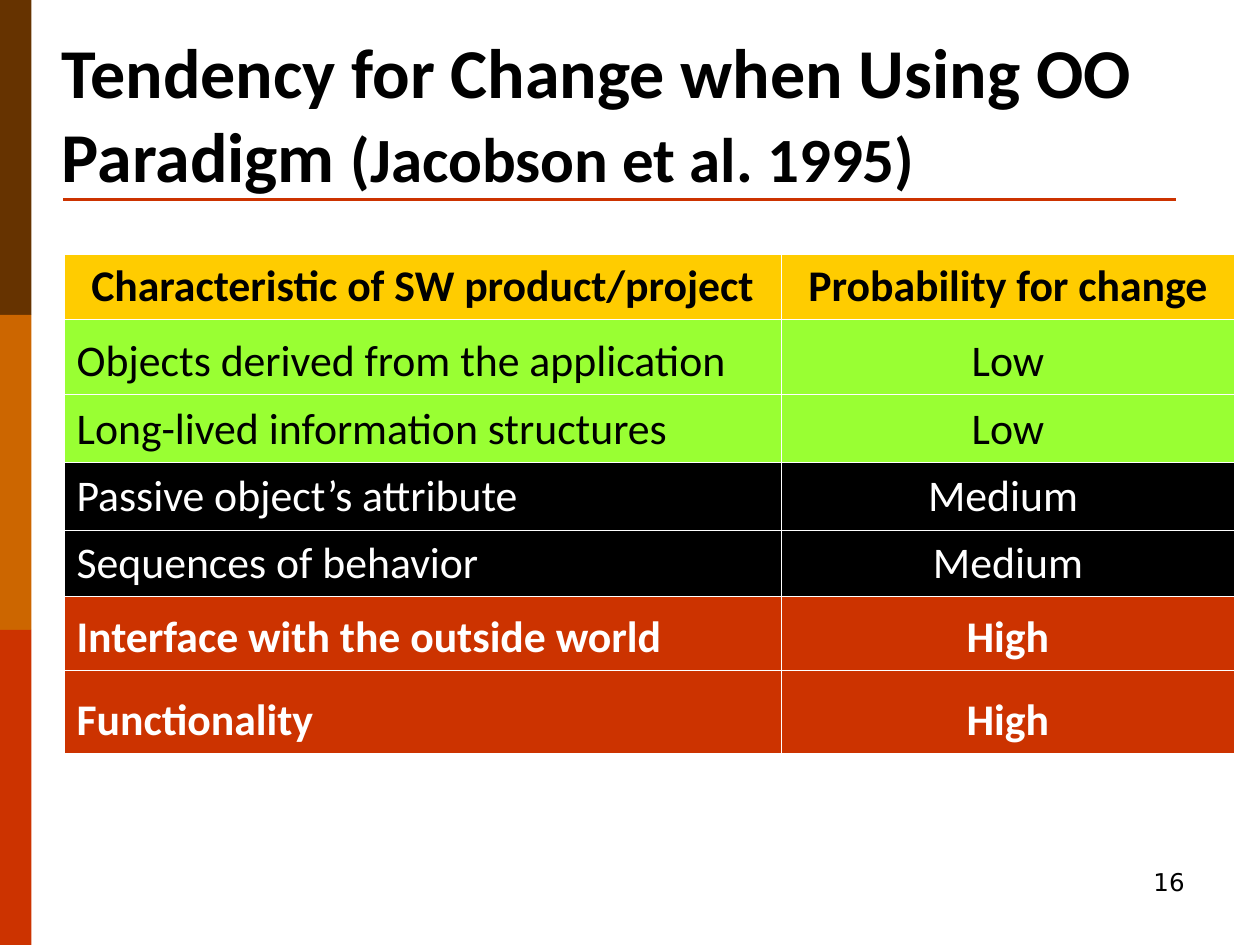
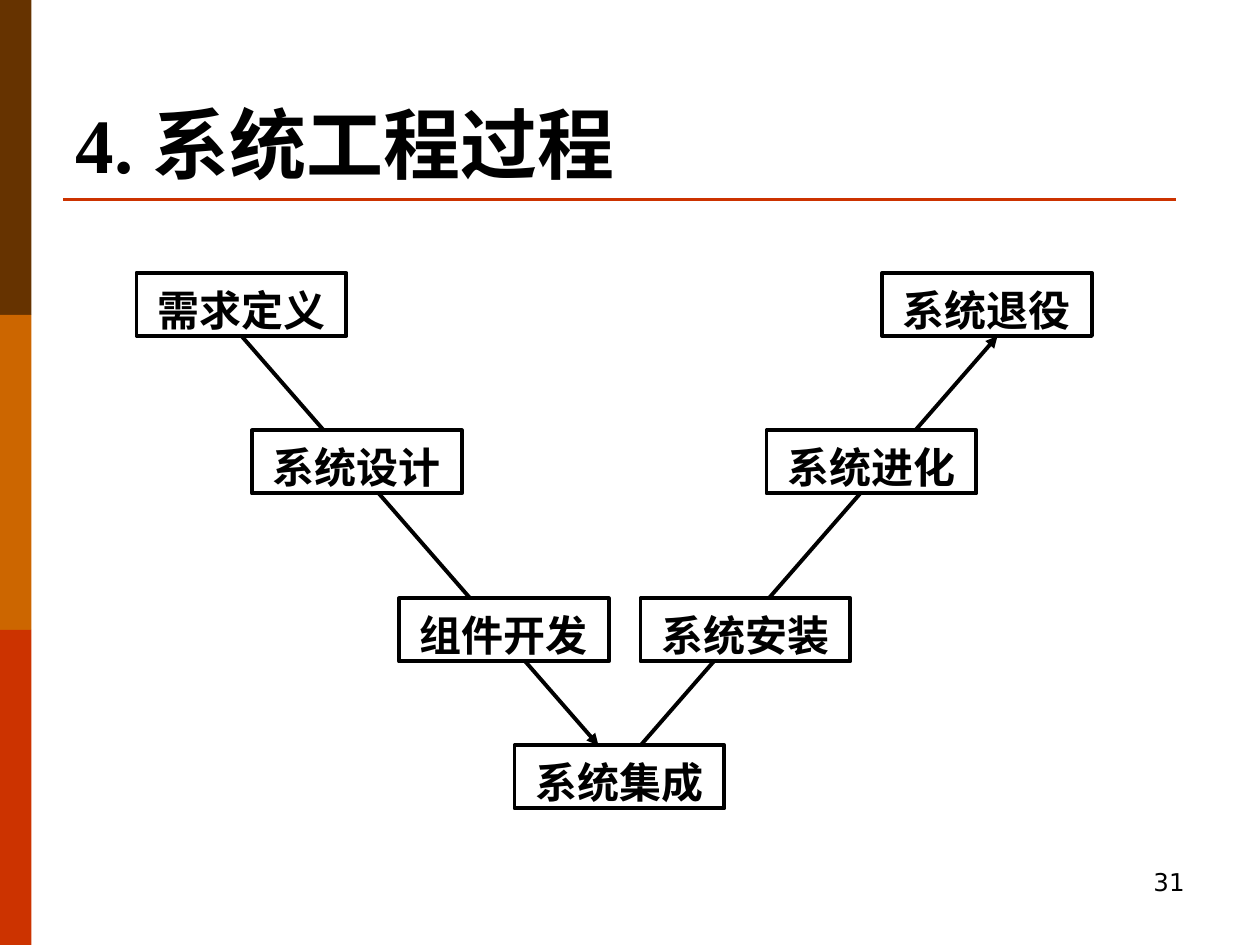
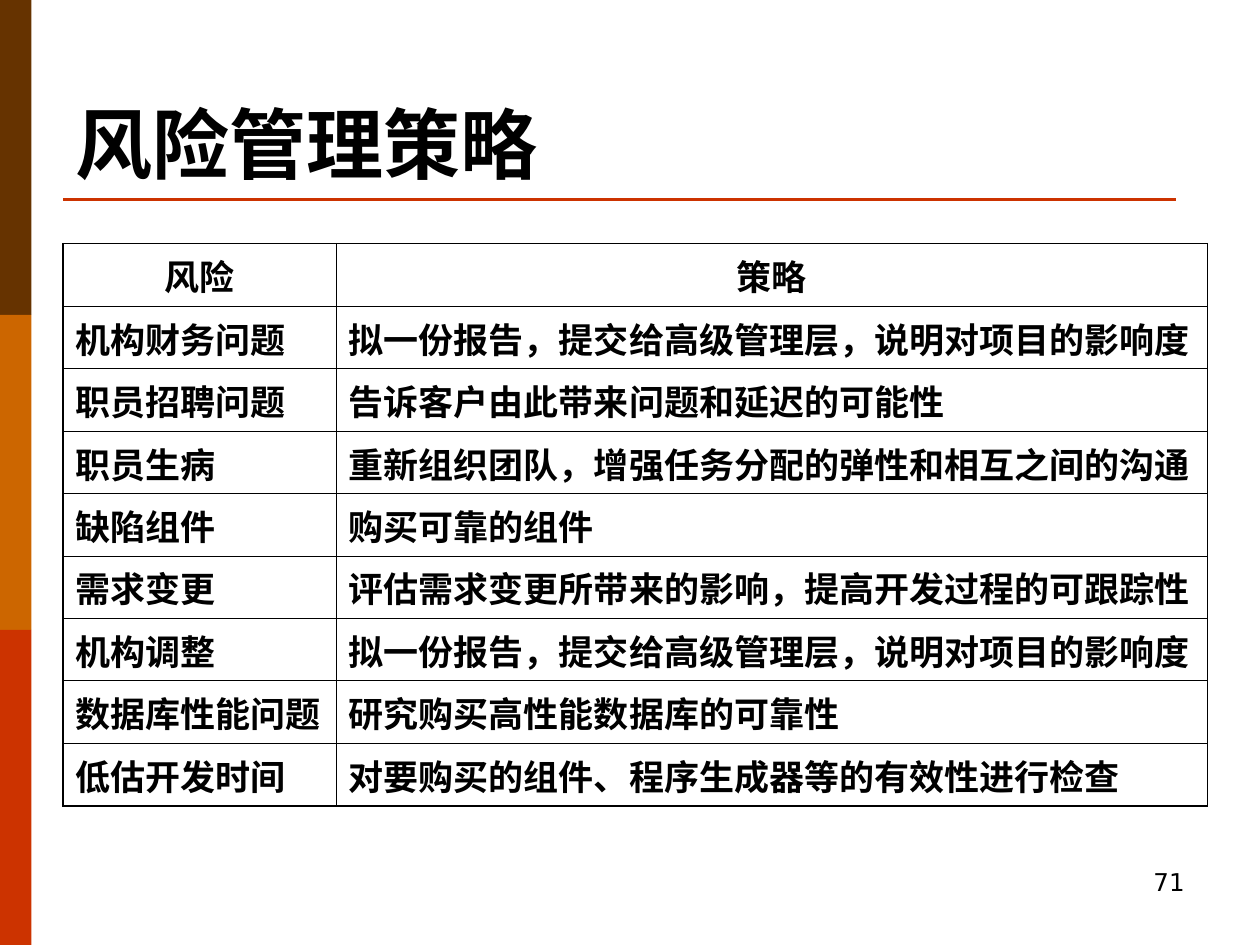
from lxml.etree import SubElement
from pptx import Presentation
from pptx.dml.color import RGBColor
from pptx.enum.shapes import MSO_CONNECTOR, MSO_SHAPE
from pptx.enum.text import MSO_ANCHOR as ANCHOR, MSO_AUTO_SIZE as FIT, PP_ALIGN as ALIGN
from pptx.oxml.ns import qn
from pptx.util import Inches, Pt

BLACK = RGBColor(0x00, 0x00, 0x00)
WHITE = RGBColor(0xFF, 0xFF, 0xFF)
BROWN = RGBColor(0x66, 0x33, 0x00)
ORANGE = RGBColor(0xCC, 0x66, 0x00)
RED = RGBColor(0xCC, 0x33, 0x00)
GOLD = RGBColor(0xFF, 0xCC, 0x00)
LIME = RGBColor(0x99, 0xFF, 0x33)

COLUMNS, ROWS = 120, 90
HAIRLINE, OUTLINE = 0.45, 1.08

PROBABILITIES = [
    ("Characteristic of SW product/project", "Probability for change", GOLD, BLACK, True, 6.24),
    ("Objects derived from the application", "Low", LIME, BLACK, False, 7.15),
    ("Long-lived information structures", "Low", LIME, BLACK, False, 6.5),
    ("Passive object’s attribute", "Medium ", BLACK, WHITE, False, 6.4),
    ("Sequences of behavior", "Medium", BLACK, WHITE, False, 6.3),
    ("Interface with the outside world", "High", RED, WHITE, True, 7.05),
    ("Functionality", "High", RED, WHITE, True, 7.9),
]

STAGES = [
    ("需求定义", 13, 26),
    ("系统设计", 24, 41),
    ("组件开发", 38, 57),
    ("系统集成", 49, 71),
    ("系统安装", 61, 57),
    ("系统进化", 73, 41),
    ("系统退役", 84, 26),
]

STRATEGIES = [
    ("风险", "策略"),
    ("机构财务问题", "拟一份报告，提交给高级管理层，说明对项目的影响度"),
    ("职员招聘问题", "告诉客户由此带来问题和延迟的可能性"),
    ("职员生病", "重新组织团队，增强任务分配的弹性和相互之间的沟通"),
    ("缺陷组件", "购买可靠的组件"),
    ("需求变更", "评估需求变更所带来的影响，提高开发过程的可跟踪性"),
    ("机构调整", "拟一份报告，提交给高级管理层，说明对项目的影响度"),
    ("数据库性能问题", "研究购买高性能数据库的可靠性"),
    ("低估开发时间", "对要购买的组件、程序生成器等的有效性进行检查"),
]


def apply(target, values):
    for key, value in values.items():
        setattr(target, key, value)


class Deck:
    """Holds the shared style and the current slide, measured on a 120 by 90 grid."""

    def __init__(self):
        self.show = Presentation()
        apply(self.show, {"slide_width": Inches(10), "slide_height": Inches(7.5)})
        self.slide = None

    def across(self, columns):
        return round(self.show.slide_width * columns / COLUMNS)

    def down(self, rows):
        return round(self.show.slide_height * rows / ROWS)

    def area(self, left, top, width, height):
        return self.across(left), self.down(top), self.across(width), self.down(height)

    def letter(self, frame, runs, font, size, ink=BLACK, bold=False, align=ALIGN.LEFT):
        paragraph = frame.paragraphs[0]
        paragraph.alignment = align
        for text, run_size in [(runs, size)] if isinstance(runs, str) else runs:
            run = paragraph.add_run()
            run.text = text
            apply(run.font, {"name": font, "size": Pt(run_size), "bold": bold})
            run.font.color.rgb = ink
        return paragraph

    def start(self, title, number, font="Times New Roman", place=(6, 3.6, 108, 15)):
        self.slide = self.show.slides.add_slide(self.show.slide_layouts[5])
        for step, color in enumerate((BROWN, ORANGE, RED)):
            self.block((0, step * ROWS / 3, 3, ROWS / 3), color)
        self.line((6, 19), (112, 19), RED, 1.5)
        heading = self.slide.shapes.title
        apply(heading, dict(zip(("left", "top", "width", "height"), self.area(*place))))
        apply(heading.text_frame, {"vertical_anchor": ANCHOR.BOTTOM, "auto_size": FIT.NONE,
                                   "word_wrap": True})
        self.letter(heading.text_frame, title, font, 44, bold=True)
        footer = self.slide.shapes.add_textbox(*self.area(86, 82, 28, 6))
        footer.text_frame.word_wrap = True
        self.letter(footer.text_frame, number, "DejaVu Sans", 14, align=ALIGN.RIGHT)

    def block(self, place, color):
        shape = self.slide.shapes.add_shape(MSO_SHAPE.RECTANGLE, *self.area(*place))
        shape.shadow.inherit = False
        shape.fill.solid()
        shape.fill.fore_color.rgb = color
        shape.line.fill.background()
        return shape

    def stage(self, label, left, top):
        box = self.block((left, top, 20, 6), WHITE)
        box.line.color.rgb = BLACK
        box.line.width = Pt(2.25)
        apply(box.text_frame, {"word_wrap": False, "vertical_anchor": ANCHOR.MIDDLE,
                               "margin_bottom": Inches(0.09)})
        paragraph = self.letter(box.text_frame, label, "DejaVu Sans", 24, bold=True,
                                align=ALIGN.CENTER)
        paragraph.line_spacing = 1.3

    def line(self, start, end, color, width, arrow=False):
        connector = self.slide.shapes.add_connector(
            MSO_CONNECTOR.STRAIGHT, self.across(start[0]), self.down(start[1]),
            self.across(end[0]), self.down(end[1]))
        connector.line.color.rgb = color
        connector.line.width = Pt(width)
        properties = connector.element.spPr
        if arrow:
            SubElement(properties.find(qn("a:ln")), qn("a:tailEnd"), type="triangle")
        SubElement(properties, qn("a:effectLst"))

    def table(self, corner, widths, heights):
        place = self.area(*corner, sum(widths), sum(heights))
        grid = self.slide.shapes.add_table(len(heights), len(widths), *place).table
        apply(grid, {"first_row": False, "horz_banding": False})
        for column, width in zip(grid.columns, widths):
            column.width = self.across(width)
        for row, height in zip(grid.rows, heights):
            row.height = self.down(height)
        return grid

    def cell(self, cell, text, fill, borders, border_color, anchor, **style):
        for side, width in zip("LRTB", borders):
            edge = SubElement(cell._tc.get_or_add_tcPr(), qn(f"a:ln{side}"), w=str(Pt(width)))
            SubElement(SubElement(edge, qn("a:solidFill")), qn("a:srgbClr"), val=str(border_color))
        cell.fill.solid()
        cell.fill.fore_color.rgb = fill
        cell.vertical_anchor = anchor
        self.letter(cell.text_frame, text, **style)


def change_slide(deck):
    deck.start([("Tendency for Change when Using OO Paradigm ", 40), ("(Jacobson et al. 1995)", 36)],
               "16", "Calibri", (4.7, 4.3, 112, 15))
    grid = deck.table((6.1, 24.2), (68.3, 43.2), [row[-1] for row in PROBABILITIES])
    for r, (trait, chance, fill, ink, bold, _) in enumerate(PROBABILITIES):
        for c, text in enumerate((trait, chance)):
            deck.cell(grid.cell(r, c), text, fill, [HAIRLINE] * 4, WHITE, ANCHOR.BOTTOM,
                      font="Calibri", size=25, ink=ink, bold=bold,
                      align=ALIGN.CENTER if c or r == 0 else ALIGN.LEFT)


def process_slide(deck):
    deck.start("4. 系统工程过程", "31")
    deck.line((23, 32), (57, 71), BLACK, 2.25, arrow=True)
    deck.line((61, 71), (95, 32), BLACK, 2.25, arrow=True)
    for label, left, top in STAGES:
        deck.stage(label, left, top)


def risk_slide(deck):
    deck.start("风险管理策略", "71")
    last = len(STRATEGIES) - 1
    grid = deck.table((6, 23.2), (26, 83), [5.95] * len(STRATEGIES))
    for r, row in enumerate(STRATEGIES):
        for c, text in enumerate(row):
            outer = (c == 0, c == 1, r == 0, r == last)
            borders = [OUTLINE if edge else HAIRLINE for edge in outer]
            deck.cell(grid.cell(r, c), text, WHITE, borders, BLACK, ANCHOR.TOP,
                      font="Arial", size=20, bold=True,
                      align=ALIGN.LEFT if r else ALIGN.CENTER)


def main():
    deck = Deck()
    for build in (change_slide, process_slide, risk_slide):
        build(deck)
    deck.show.save("out.pptx")


if __name__ == "__main__":
    main()
